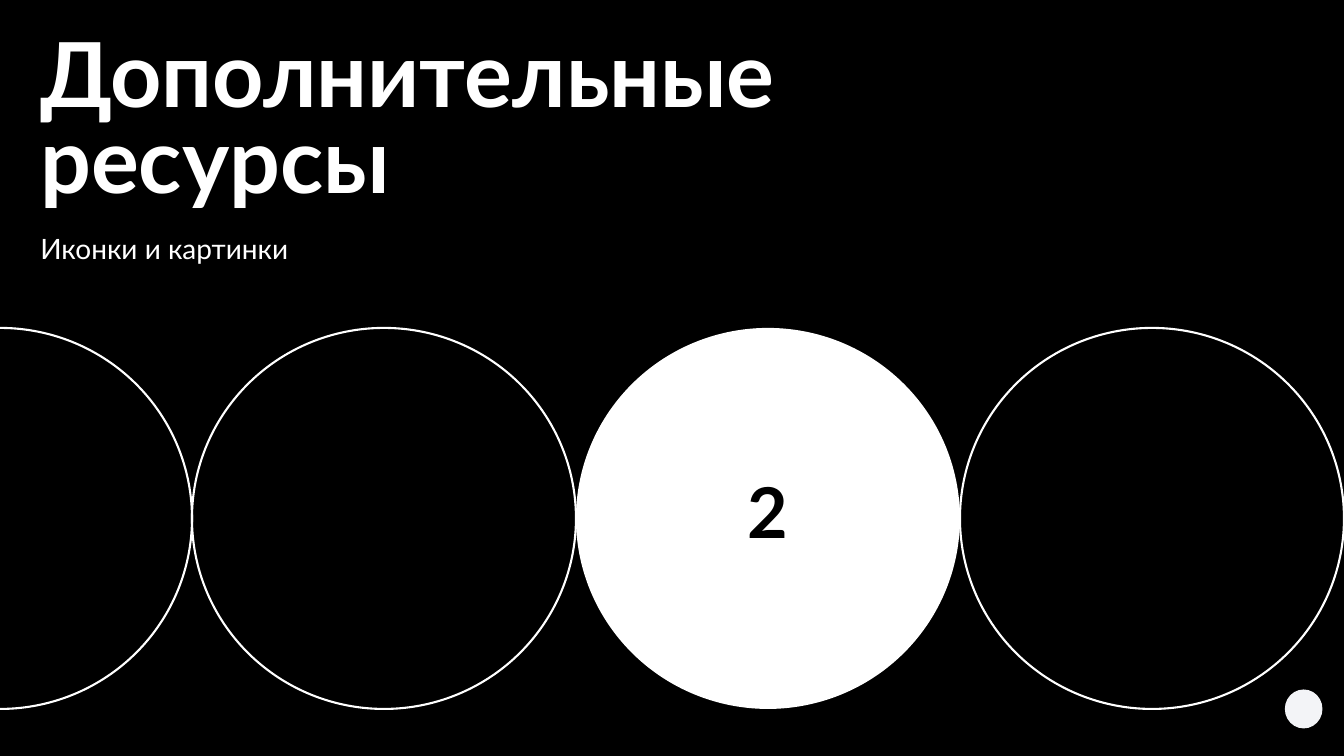
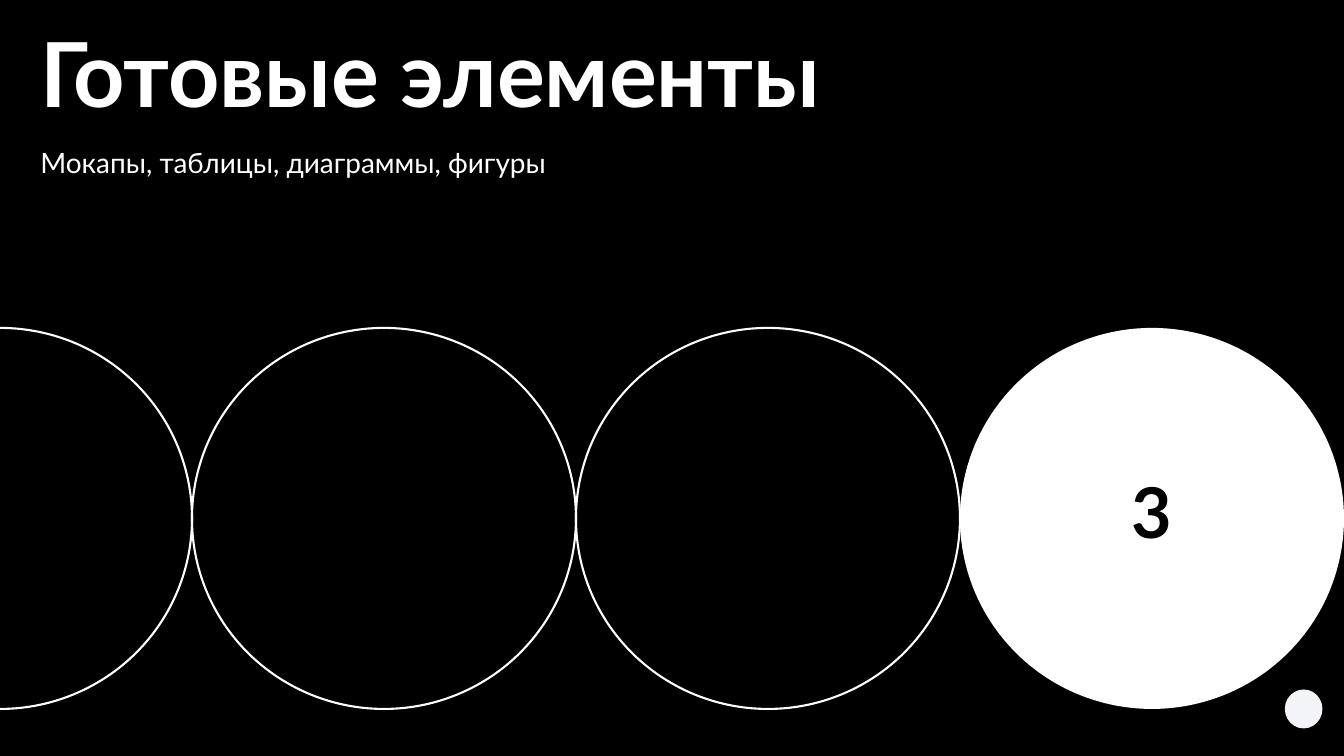
import pptx
import pptx.util
import pptx.dml.color
import pptx.enum.shapes
import pptx.enum.text

RGBColor = pptx.dml.color.RGBColor
Inches, Pt = pptx.util.Inches, pptx.util.Pt

BLACK = RGBColor(0x00, 0x00, 0x00)
WHITE = RGBColor(0xFF, 0xFF, 0xFF)
MARK_GREY = RGBColor(0xF3, 0xF4, 0xF7)
FONT = "Lato"
LINE_SPACING = 0.8

# Slide size and regions, in inches: left, top, width, height
PAGE_WIDTH, PAGE_HEIGHT = 20, 11.25
MARGIN = 0.03 * PAGE_WIDTH
HEADING_TOP = 0.54
MARK_BOX = (19.12, 10.26, 0.56, 0.58)

# Row of circles: three and a half columns fill the slide's width
COLUMNS = 3.5
CIRCLE_COUNT = 4
CIRCLES_BOX = (0, 4.88, PAGE_WIDTH, 5.67)

SECTIONS = [
    dict(title=["Дополнительные", "ресурсы"], subtitle="Иконки и картинки",
         number=2, heading_size=(12.52, 3.51)),
    dict(title=["Готовые элементы"], subtitle="Мокапы, таблицы, диаграммы, фигуры",
         number=3, heading_size=(15.63, 4.05)),
]


def add_run(para, text, size, color, bold):
    para.line_spacing = LINE_SPACING
    run = para.add_run()
    run.text = text
    run.font.name = FONT
    run.font.size = Pt(size)
    run.font.bold = bold
    run.font.color.rgb = color


def add_circle(page, box, fill=None, line=None):
    circle = page.shapes.add_shape(pptx.enum.shapes.MSO_SHAPE.OVAL,
                                   *(Inches(length) for length in box))
    circle.shadow.inherit = False
    if fill is None:
        circle.fill.background()
    else:
        circle.fill.solid()
        circle.fill.fore_color.rgb = fill
    if line is None:
        circle.line.fill.background()
    else:
        circle.line.color.rgb = line
        circle.line.width = Pt(2.25)
    return circle


def add_heading(page, box, title, subtitle):
    """Large title lines with a small subtitle below."""
    heading = page.shapes.title
    heading.left, heading.top, heading.width, heading.height = map(Inches, box)
    frame = heading.text_frame
    frame.word_wrap = True
    frame.auto_size = pptx.enum.text.MSO_AUTO_SIZE.NONE
    frame.vertical_anchor = pptx.enum.text.MSO_ANCHOR.TOP
    frame.margin_left = frame.margin_right = frame.margin_bottom = 0
    frame.margin_top = Inches(0.04)

    for index, line in enumerate(title):
        para = frame.add_paragraph() if index else frame.paragraphs[0]
        add_run(para, line, 96, WHITE, True)
        para.space_before = Pt(0)
    para = frame.add_paragraph()
    add_run(para, subtitle, 30, WHITE, False)
    para.space_before = Pt(29)
    for para in frame.paragraphs:
        para.alignment = pptx.enum.text.PP_ALIGN.LEFT


def add_circle_row(page, box, number):
    """Touching circles, the first cut by the slide's edge, one filled."""
    left, top, width, height = box
    column = width / COLUMNS
    for index in range(CIRCLE_COUNT):
        circle_box = (left + (index - 0.5) * column, top, column, height)
        if index != number:
            add_circle(page, circle_box, line=WHITE)
            continue
        circle = add_circle(page, circle_box, fill=WHITE)
        frame = circle.text_frame
        frame.margin_left = frame.margin_right = Inches(0.1)
        frame.margin_top = frame.margin_bottom = Inches(0.1)
        frame.vertical_anchor = pptx.enum.text.MSO_ANCHOR.MIDDLE
        para = frame.paragraphs[0]
        para.alignment = pptx.enum.text.PP_ALIGN.CENTER
        add_run(para, str(number), 75, BLACK, True)


def add_section_page(deck, title, subtitle, number, heading_size):
    page = deck.slides.add_slide(deck.slide_layouts.get_by_name("Title Only"))
    # Corner mark
    add_circle(page, MARK_BOX, fill=MARK_GREY)
    # Circles and heading
    add_circle_row(page, CIRCLES_BOX, number)
    add_heading(page, (MARGIN, HEADING_TOP, *heading_size), title, subtitle)


def main():
    deck = pptx.Presentation()
    deck.slide_width = Inches(PAGE_WIDTH)
    deck.slide_height = Inches(PAGE_HEIGHT)
    # Black background shared by all slides
    background = deck.slide_master.background.fill
    background.solid()
    background.fore_color.rgb = BLACK
    for section in SECTIONS:
        add_section_page(deck, **section)
    deck.save("out.pptx")


if __name__ == "__main__":
    main()
